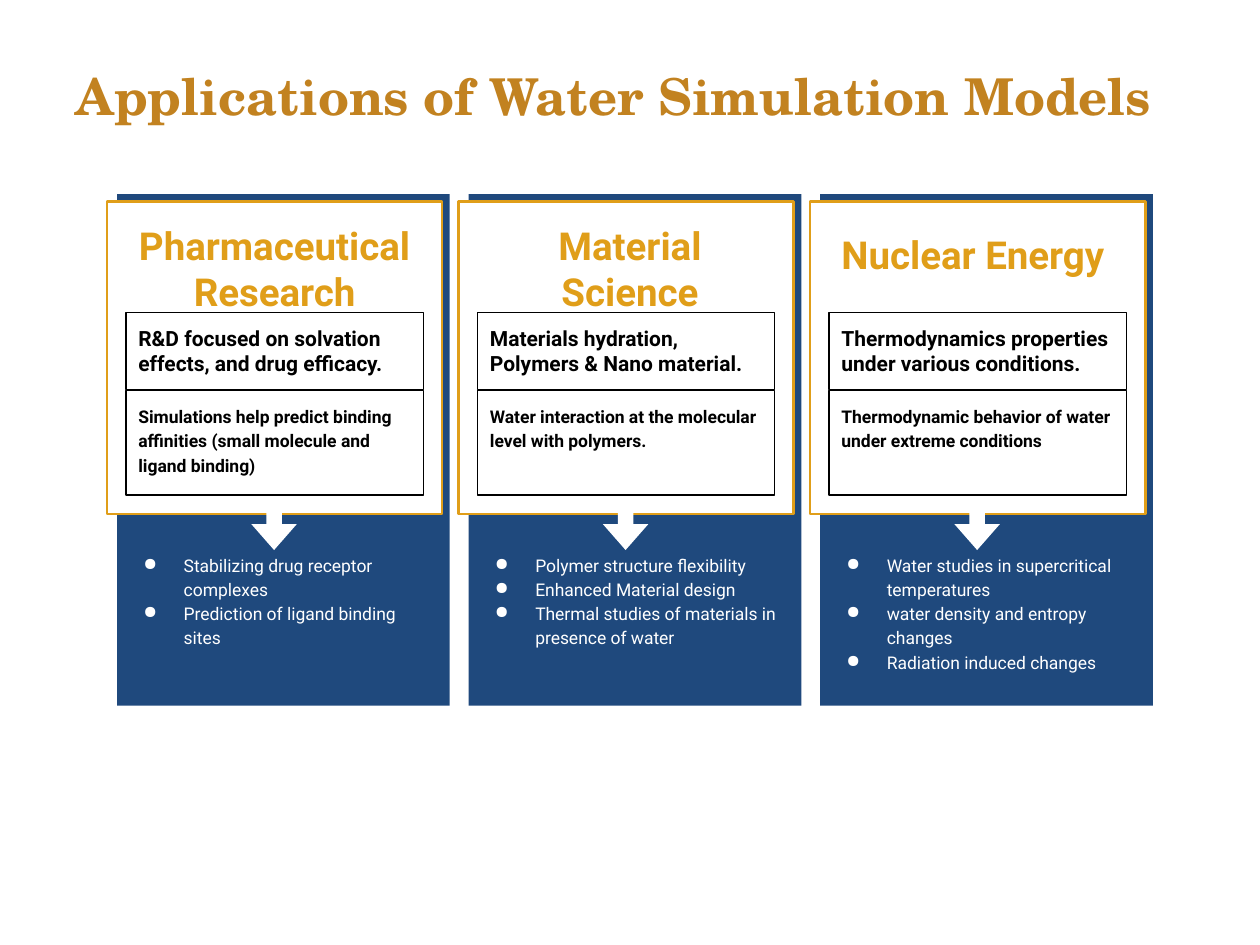
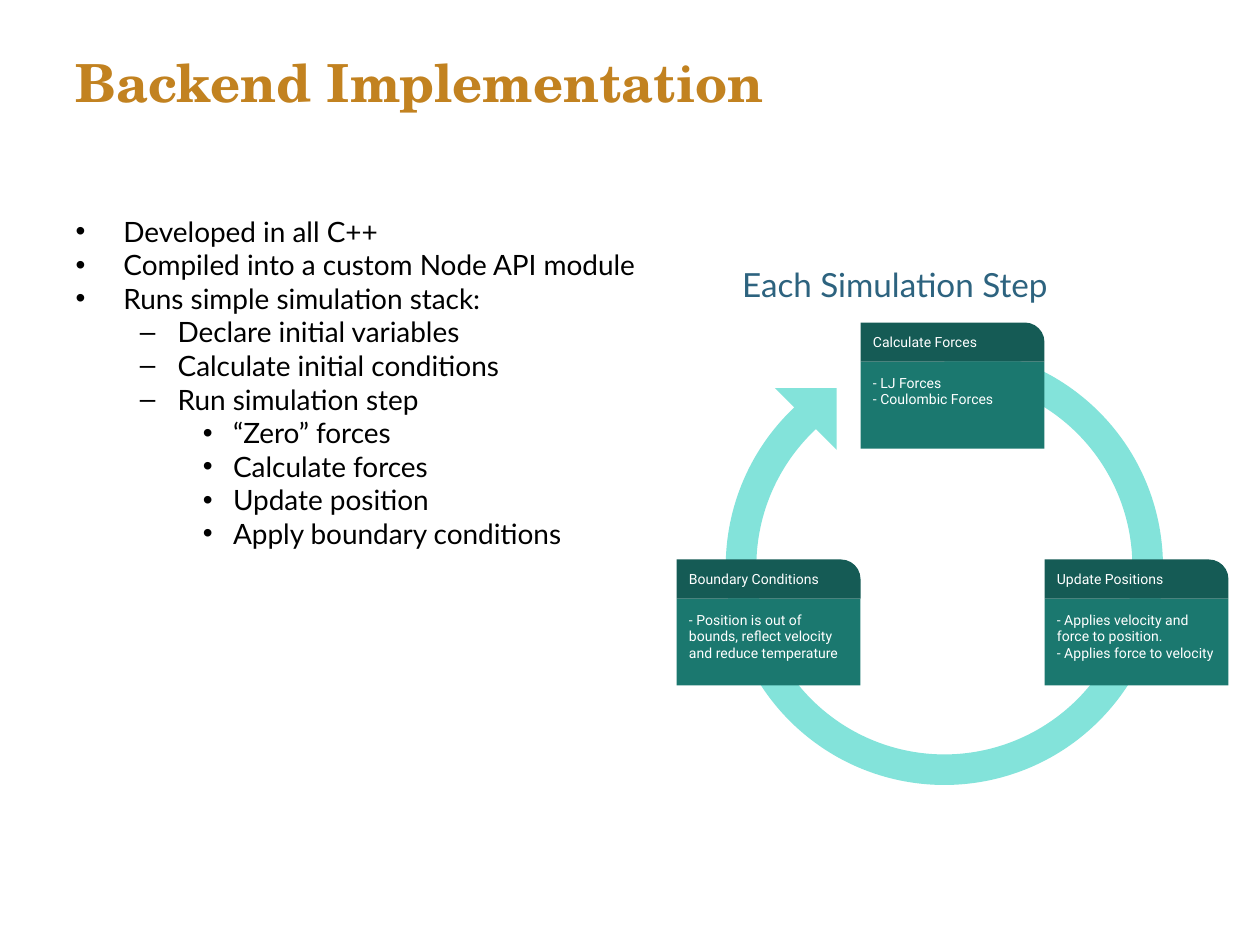
from lxml.etree import SubElement
from pptx import Presentation
from pptx.dml.color import RGBColor
from pptx.enum.shapes import MSO_SHAPE
from pptx.enum.text import MSO_ANCHOR, MSO_AUTO_SIZE, PP_ALIGN
from pptx.oxml.ns import qn
from pptx.util import Inches, Pt

WHITE = RGBColor(0xFF, 0xFF, 0xFF)
BLACK = RGBColor(0x00, 0x00, 0x00)
BRONZE = RGBColor(0xC2, 0x82, 0x20)
GOLD = RGBColor(0xE0, 0x9E, 0x19)
NAVY = RGBColor(0x1F, 0x49, 0x7D)
STEEL = RGBColor(0x2D, 0x63, 0x7F)
TEAL = RGBColor(0x1B, 0x78, 0x6F)
DARK_TEAL = RGBColor(0x15, 0x5B, 0x55)
AQUA = RGBColor(0x83, 0xE3, 0xDA)

TITLE = {"name": "TeX Gyre Schola", "bold": True, "color": BRONZE}
CARD_HEADING = {"name": "Roboto", "size": Pt(22), "bold": True, "color": GOLD}
CARD_LEAD = {"name": "Roboto", "size": Pt(12), "bold": True, "color": BLACK}
CARD_DETAIL = {"name": "Roboto", "size": Pt(10), "bold": True, "color": BLACK}
CARD_LIST = {"name": "Roboto", "size": Pt(10), "color": WHITE}
STACK_LIST = {"name": "Lato", "size": Pt(16), "color": BLACK}
CYCLE_HEADING = {"name": "Lato", "size": Pt(19), "color": STEEL}
STEP_TEXT = {"name": "Roboto", "size": Pt(8), "color": WHITE}


def add_box(shapes, kind, left, top, width, height, fill=None, line=None, weight=0.75):
    """Add a shape placed in inches; no fill or line unless a colour is given."""
    box = shapes.add_shape(kind, *map(Inches, (left, top, width, height)))
    box.shadow.inherit = False
    if fill is None:
        box.fill.background()
    else:
        box.fill.solid()
        box.fill.fore_color.rgb = fill
    if line is None:
        box.line.fill.background()
    else:
        box.line.color.rgb = line
        box.line.width = Pt(weight)
    return box


def write(box, lines, style, anchor=MSO_ANCHOR.TOP, align=PP_ALIGN.LEFT,
          spacing=None, before=0, bullets=None, inset=0.1):
    """Fill a box with (level, text) lines; bullets holds (sign, left, hang) by level."""
    frame = box.text_frame
    settings = {"word_wrap": True, "auto_size": MSO_AUTO_SIZE.NONE, "vertical_anchor": anchor,
                "margin_left": Inches(0.1), "margin_right": Inches(0.1),
                "margin_top": Inches(inset), "margin_bottom": Inches(inset)}
    for name, value in settings.items():
        setattr(frame, name, value)
    for number, (level, text) in enumerate(lines):
        para = frame.add_paragraph() if number else frame.paragraphs[0]
        para.level = level
        para.alignment = align
        para.space_before = Pt(before)
        if spacing:
            para.line_spacing = spacing
        properties = para._p.get_or_add_pPr()
        if bullets:
            sign, left, hang = bullets[level]
            properties.set("marL", str(Inches(left)))
            properties.set("indent", str(-Inches(hang)))
            colour = SubElement(properties, qn("a:buClr"))
            SubElement(colour, qn("a:srgbClr"), val=str(style["color"]))
            SubElement(properties, qn("a:buChar"), char=sign)
        else:
            properties.set("marL", "0")
            properties.set("indent", "0")
            SubElement(properties, qn("a:buNone"))
        span = para.add_run()
        span.text = text
        for name, value in style.items():
            if name == "color":
                span.font.color.rgb = value
            else:
                setattr(span.font, name, value)


deck = Presentation()
deck.slide_width, deck.slide_height = Inches(10), Inches(7.5)
TITLE_ONLY, TWO_CONTENT = deck.slide_layouts[5], deck.slide_layouts[3]

pages = []
for layout, text, size, top, width, height in [
    (TITLE_ONLY, "Applications of Water Simulation Models", 29, 0.36, 8.84, 0.69),
    (TWO_CONTENT, "Backend Implementation", 30, 0.51, 7.07, 0.44),
]:
    page = deck.slides.add_slide(layout)
    title = page.shapes.title
    title.left, title.top, title.width, title.height = map(Inches, (0.5, top, width, height))
    write(title, [(0, text)], TITLE | {"size": Pt(size)}, MSO_ANCHOR.BOTTOM, inset=0.05)
    pages.append(page)
applications, backend = pages

# Applications: three equal cards
CARD_LEFT, CARD_PITCH = 0.85, 2.79
CARD_INSET, INNER_WIDTH = 0.15, 2.36
cards = [
    (["Pharmaceutical", "Research"], 0, 1.66, PP_ALIGN.CENTER,
     "R&D focused on solvation effects, and drug efficacy.",
     "Simulations help predict binding affinities (small molecule and ligand binding)",
     ["Stabilizing drug receptor complexes", "Prediction of ligand binding sites"]),
    (["Material Science"], 0.03, 1.66, PP_ALIGN.CENTER,
     "Materials hydration, Polymers & Nano material.",
     "Water interaction at the molecular level with polymers.",
     ["Polymer structure flexibility", "Enhanced Material design",
      "Thermal studies of materials in presence of water"]),
    (["Nuclear Energy"], 0, 1.73, PP_ALIGN.LEFT,
     "Thermodynamics properties under various conditions.",
     "Thermodynamic behavior of water under extreme conditions",
     ["Water studies in supercritical temperatures", "water density and entropy changes",
      "Radiation induced changes"]),
]
for column, (heading, shift, heading_top, align, lead, detail, uses) in enumerate(cards):
    left = CARD_LEFT + column * CARD_PITCH
    inner = left + CARD_INSET
    card = applications.shapes.add_group_shape().shapes
    add_box(card, MSO_SHAPE.RECTANGLE, left + 0.08, 1.54, 2.64, 4.06, NAVY)
    add_box(card, MSO_SHAPE.RECTANGLE, left, 1.6, 2.66, 2.48, WHITE, GOLD, 1.5)
    for text, style, top, height, spacing in [
        (lead, CARD_LEAD, 2.48, 0.61, None),
        (detail, CARD_DETAIL, 3.1, 0.83, 1.15),
    ]:
        box = add_box(card, MSO_SHAPE.RECTANGLE, inner, top, INNER_WIDTH, height, line=BLACK)
        write(box, [(0, text)], style, spacing=spacing)
    box = card.add_textbox(*map(Inches, (inner + shift, heading_top, INNER_WIDTH, 0.67)))
    write(box, [(0, text) for text in heading], CARD_HEADING, align=align)
    arrow = add_box(card, MSO_SHAPE.RIGHT_ARROW, left + 1.13, 3.99, 0.39, 0.36, WHITE)
    arrow.rotation = 90
    arrow.adjustments[0], arrow.adjustments[1] = 0.342, 0.57
    box = card.add_textbox(*map(Inches, (left + 0.01, 4.28, 2.64, 1.08)))
    write(box, [(0, text) for text in uses], CARD_LIST, spacing=1.15,
          bullets=[("●", 0.5, 0.32)])

# Backend: nested list beside the simulation cycle
stack, cycle_heading = backend.placeholders[1], backend.placeholders[2]
for holder, place in [(stack, (0.5, 1.65, 5.59, 3.14)), (cycle_heading, (5.79, 2.05, 3.41, 0.51))]:
    holder.left, holder.top, holder.width, holder.height = map(Inches, place)
write(stack, [
    (0, "Developed in all C++"),
    (0, "Compiled into a custom Node API module"),
    (0, "Runs simple simulation stack:"),
    (1, "Declare initial variables"),
    (1, "Calculate initial conditions"),
    (1, "Run simulation step"),
    (2, "“Zero” forces"),
    (2, "Calculate forces"),
    (2, "Update position"),
    (2, "Apply boundary conditions"),
], STACK_LIST, bullets=[("•", 0.38, 0.38), ("–", 0.81, 0.3), ("•", 1.25, 0.24)], inset=0.05)
write(cycle_heading, [(2, "Each Simulation Step")], CYCLE_HEADING, inset=0.05)

ring = backend.shapes.add_group_shape().shapes
arc = add_box(ring, MSO_SHAPE.BLOCK_ARC, 5.76, 2.76, 3.47, 3.47, AQUA)
for number, value in enumerate((54, 30.13, 0.07)):
    arc.adjustments[number] = value
arrowhead = add_box(ring, MSO_SHAPE.RIGHT_TRIANGLE, 6.15, 3.08, 0.49, 0.49, AQUA)
arc.rotation = arrowhead.rotation = 180

STEP_LEFT, STEP_WIDTH = 5.37, 1.46
STEP_TOPS = (2.56, 4.44)
HEADER, BODY = 0.31, 0.69
for column, row, name, actions in [
    (2, 1, "Update Positions",
     ["- Applies velocity and force to position.", "- Applies force to velocity"]),
    (1, 0, "Calculate Forces", ["- LJ Forces", "- Coulombic Forces"]),
    (0, 1, "Boundary Conditions",
     ["- Position is out of bounds, reflect velocity and reduce temperature"]),
]:
    left, top = STEP_LEFT + column * STEP_WIDTH, STEP_TOPS[row]
    step = backend.shapes.add_group_shape().shapes
    body = add_box(step, MSO_SHAPE.RECTANGLE, left, top + HEADER, STEP_WIDTH, BODY, TEAL)
    write(body, [(0, text) for text in actions], STEP_TEXT)
    header = add_box(step, MSO_SHAPE.ROUND_1_RECTANGLE, left, top, STEP_WIDTH, HEADER, DARK_TEAL)
    header.adjustments[0] = 0.5
    write(header, [(0, name)], STEP_TEXT, MSO_ANCHOR.MIDDLE)

deck.save("out.pptx")
